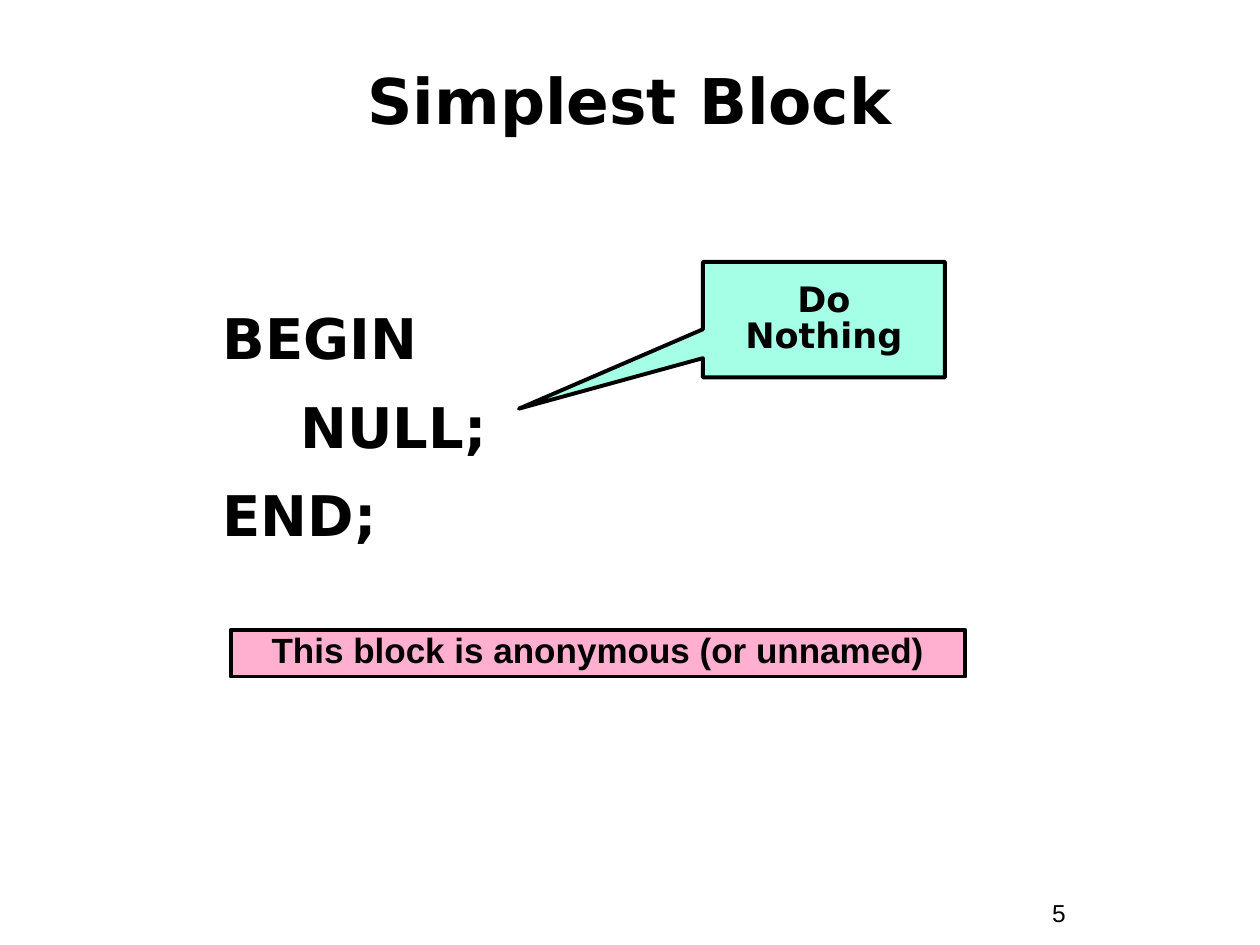
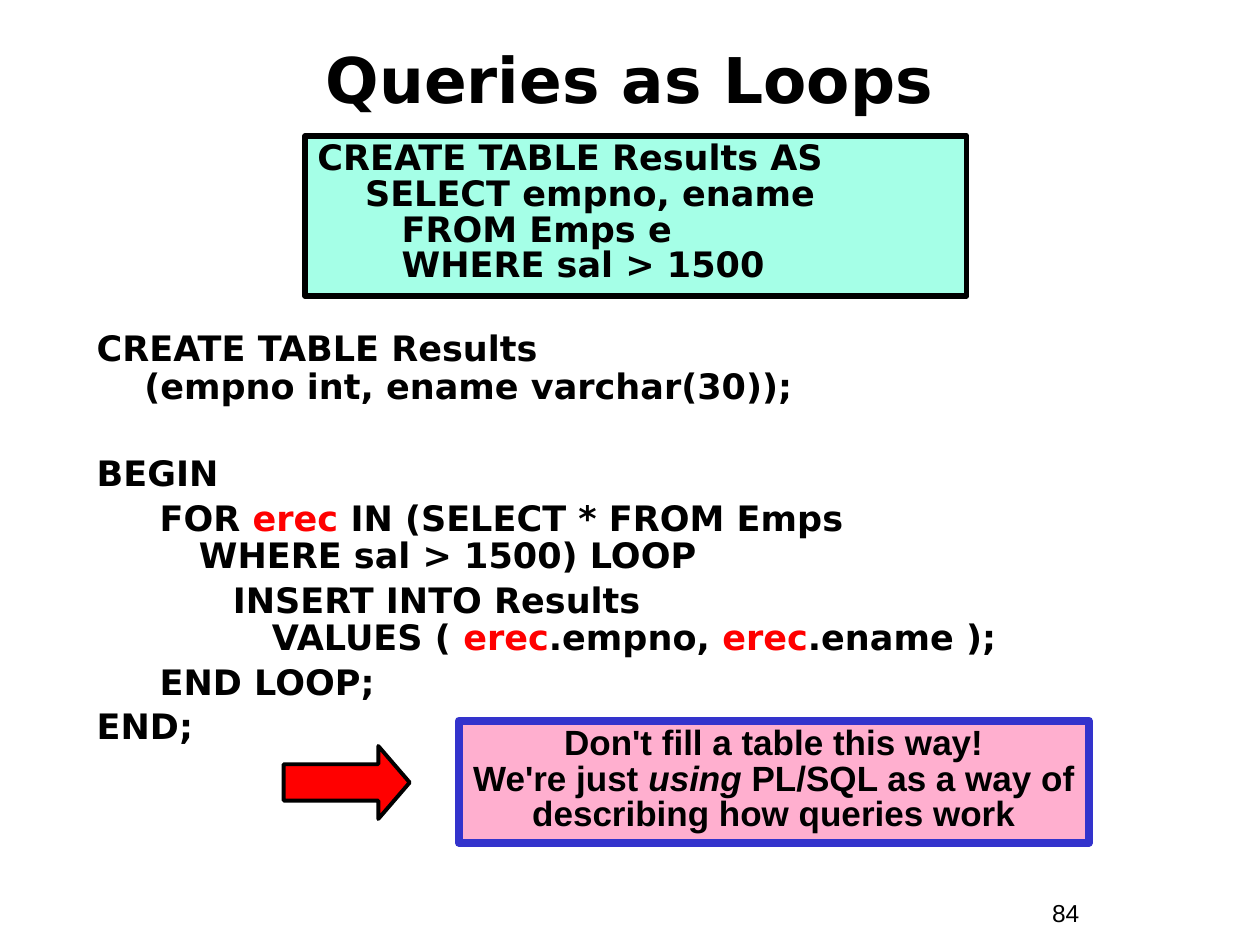
from pptx import Presentation
from pptx import util as u
from pptx.dml.color import RGBColor
from pptx.enum import shapes, text

COLORS = {
    "ink": "000000",
    "red": "FF0000",
    "mint": "A5FFE7",
    "pink": "FFAFCF",
    "blue": "3333CC",
}
CODE_FONT = "DejaVu Sans"
NOTE_FONT = "Arial"
CENTER = text.PP_ALIGN.CENTER
MIDDLE = text.MSO_ANCHOR.MIDDLE
SHAPE = shapes.MSO_SHAPE


def add_box(page, area, kind=None, fill=None, line="ink", width=2.25, anchor=text.MSO_ANCHOR.TOP):
    place = [u.Cm(length) for length in area]
    if kind is None:
        box = page.shapes.add_textbox(*place)
    else:
        box = page.shapes.add_shape(kind, *place)
        box.shadow.inherit = False
        box.fill.solid()
        box.fill.fore_color.rgb = RGBColor.from_string(COLORS[fill])
        box.line.color.rgb = RGBColor.from_string(COLORS[line])
        box.line.width = u.Pt(width)
    box.text_frame.word_wrap = True
    box.text_frame.vertical_anchor = anchor
    return box


def write(box, content, size=20, font=CODE_FONT, bold=True, align=text.PP_ALIGN.LEFT,
          spacing=1.0, before=0, level=0, left=0, hanging=0, accent="ink", italic=False):
    frame = box.text_frame
    first = not frame.text
    para = frame.paragraphs[0] if first else frame.add_paragraph()
    para.alignment = align
    para.line_spacing = spacing
    para.space_before = u.Pt(0 if first else before)
    para.level = level
    properties = para._p.get_or_add_pPr()
    properties.set("marL", str(u.Cm(left)))
    properties.set("indent", str(-u.Cm(hanging)))
    for index, part in enumerate(content.split("|")):
        marked = index % 2 == 1
        for row, words in enumerate(part.split("\n")):
            if row:
                para.add_line_break()
            span = para.add_run()
            span.text = words
            span.font.name = font
            span.font.size = u.Pt(size)
            span.font.bold = bold
            span.font.italic = marked and italic
            color = COLORS[accent if marked else "ink"]
            span.font.color.rgb = RGBColor.from_string(color)


deck = Presentation()
deck.slide_width, deck.slide_height = u.Cm(25.4), u.Cm(19.05)

pages = []
for title, title_height, number in [("Simplest Block", 2.34, "5"), ("Queries as Loops", 1.47, "84")]:
    page = deck.slides.add_slide(deck.slide_layouts[6])
    write(add_box(page, (20.96, 17.98, 2.34, 0.86)), number, size=14, font=NOTE_FONT, bold=False)
    heading = add_box(page, (0.84, 0.84, 23.7, title_height), anchor=MIDDLE)
    write(heading, title, size=36, align=CENTER)
    pages.append(page)
block_page, loop_page = pages

block = add_box(block_page, (4.24, 6.15, 9.53, 5.51))
for statement in ["BEGIN", "    NULL;", "END;"]:
    write(block, statement, size=32, spacing=0.9, before=16, left=0.96, hanging=0.96)

anonymous = add_box(block_page, (4.65, 12.7, 14.81, 0.94), SHAPE.RECTANGLE, "pink")
write(anonymous, "This block is anonymous (or unnamed)", font=NOTE_FONT, align=CENTER, spacing=0.8)

callout = add_box(block_page, (14.17, 5.28, 4.88, 2.33), SHAPE.RECTANGULAR_CALLOUT, "mint", anchor=MIDDLE)
callout.adjustments[0], callout.adjustments[1] = -1.26, 0.77
write(callout, "Do\nNothing", align=CENTER, spacing=0.85)

query = add_box(loop_page, (6.15, 2.74, 13.34, 3.23), SHAPE.RECTANGLE, "mint", width=3)
write(query, "CREATE TABLE Results AS SELECT empno, ename\n   FROM Emps e\n   WHERE sal > 1500",
      spacing=0.85, left=0.96, hanging=0.96)

program = add_box(loop_page, (1.7, 6.55, 22.23, 11))
indents = [{"left": 0.96, "hanging": 0.96}, {"left": 2.06, "hanging": 0.79}]
statements = [
    (0, 0, "CREATE TABLE Results\n(empno int, ename varchar(30));"),
    (0, 28.5, "BEGIN"),
    (1, 3.7, "FOR |erec| IN (SELECT * FROM Emps\nWHERE sal > 1500) LOOP"),
    (1, 3.7, "      INSERT INTO Results\n      VALUES ( |erec|.empno, |erec|.ename );"),
    (1, 3.7, "END LOOP;"),
    (0, 3.7, "END;"),
]
for level, gap, statement in statements:
    write(program, statement, spacing=0.9, before=gap, level=level, accent="red", **indents[level])

warning = add_box(loop_page, (9.25, 14.53, 12.7, 2.46), SHAPE.RECTANGLE, "pink", "blue", 4.5)
write(warning, "Don't fill a table this way!\nWe're just |using| PL/SQL as a way of describing how queries work",
      font=NOTE_FONT, align=CENTER, spacing=0.85, italic=True)

arrow = add_box(loop_page, (5.72, 15.04, 2.54, 1.47), SHAPE.RIGHT_ARROW, "red")
arrow.adjustments[0], arrow.adjustments[1] = 0.5, 0.43

deck.save("out.pptx")
